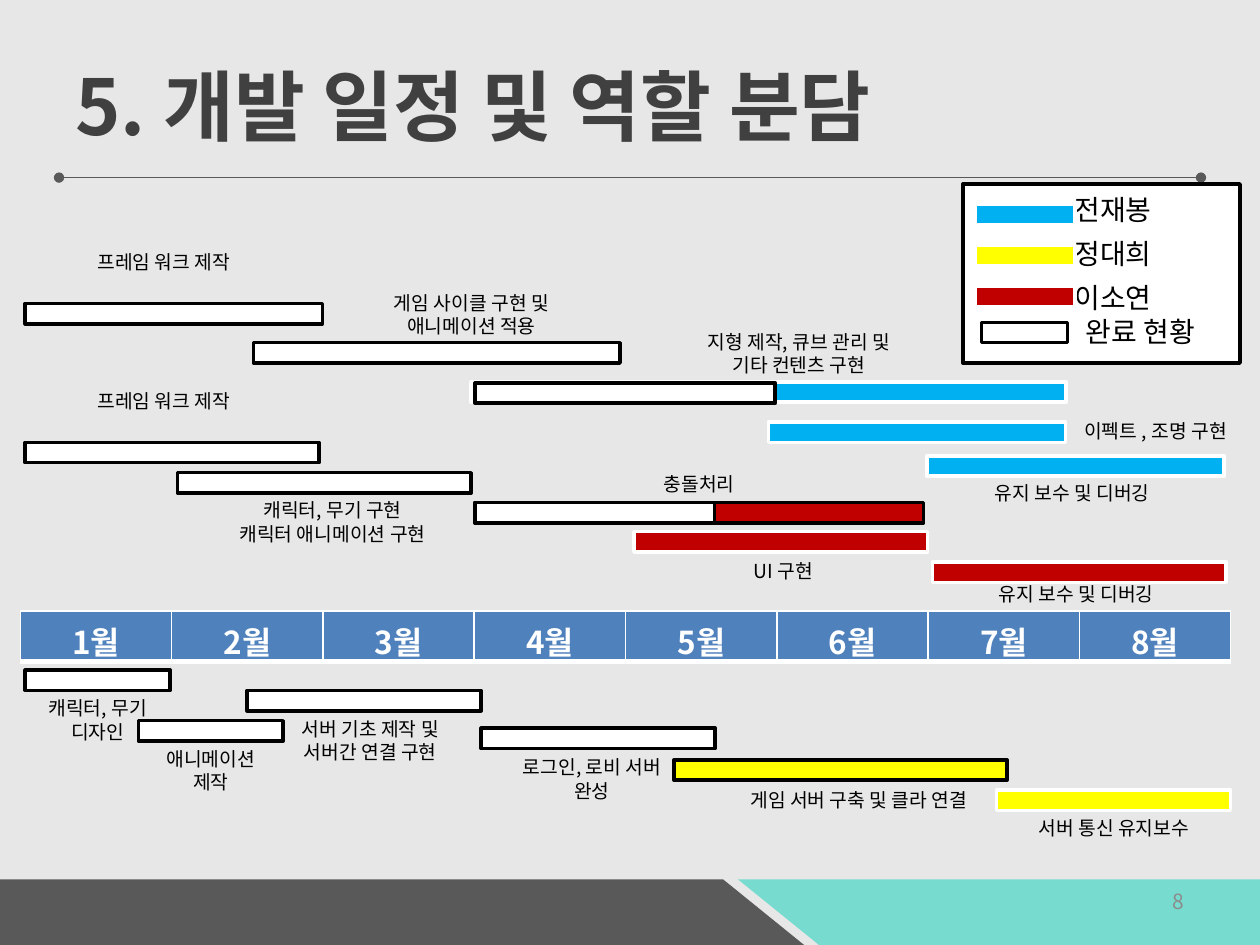
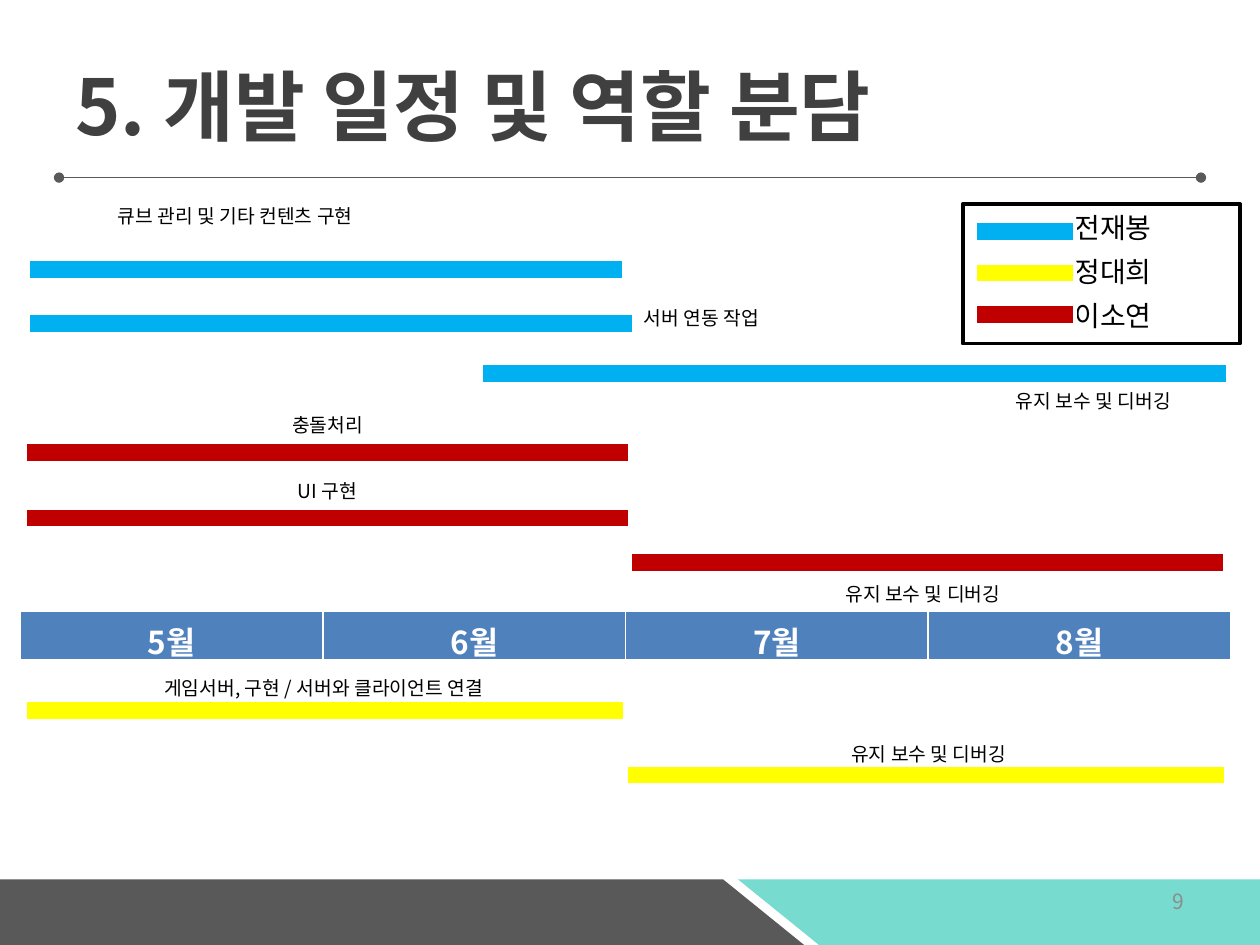
from dataclasses import dataclass

from lxml import etree
from pptx import Presentation
from pptx.dml.color import RGBColor
from pptx.enum import shapes, text
from pptx.oxml import ns
from pptx.util import Cm, Pt

FONT = "Noto Sans CJK KR"
BLACK = RGBColor(0x00, 0x00, 0x00)
WHITE = RGBColor(0xFF, 0xFF, 0xFF)
BLUE = RGBColor(0x00, 0xB0, 0xF0)
YELLOW = RGBColor(0xFF, 0xFF, 0x00)
RED = RGBColor(0xC0, 0x00, 0x00)
MONTH_BLUE = RGBColor(0x4F, 0x81, 0xBD)
TITLE_GREY = RGBColor(0x40, 0x40, 0x40)
DARK_GREY = RGBColor(0x59, 0x59, 0x59)
PAGE_GREY = RGBColor(0x8C, 0x8C, 0x8C)
VEIL_GREY = RGBColor(0xD9, 0xD9, 0xD9)
TEAL = RGBColor(0x77, 0xDB, 0xCF)

SLIDE_WIDTH, SLIDE_HEIGHT = 25.4, 19.05
BAND_TOP = 17.73
BAR_HEIGHT = 0.41
MEMBERS = {"전재봉": BLUE, "정대희": YELLOW, "이소연": RED}


@dataclass
class Bar:
    left: float
    top: float
    width: float
    fill: RGBColor = WHITE
    line: RGBColor = BLACK


@dataclass
class Label:
    left: float
    top: float
    text: str
    width: float = 5.59
    rows: int = 1


@dataclass
class Legend:
    top: float
    height: float
    names_top: float
    shows_done: bool = False


@dataclass
class Schedule:
    page: int
    months: range
    bars: list[Bar]
    labels: list[Label]
    legend: Legend
    veiled: bool = False


SCHEDULES = [
    Schedule(
        page=8,
        months=range(1, 9),
        veiled=True,
        legend=Legend(3.71, 3.61, 3.76, shows_done=True),
        bars=[
            Bar(0.51, 6.12, 5.99),
            Bar(5.11, 6.91, 7.39),
            Bar(9.5, 7.7, 11.99, BLUE, WHITE),
            Bar(9.58, 7.72, 6.05),
            Bar(15.49, 8.51, 5.99, BLUE, WHITE),
            Bar(18.69, 9.19, 5.99, BLUE, WHITE),
            Bar(0.51, 8.92, 5.92),
            Bar(3.58, 9.53, 5.92),
            Bar(9.58, 10.13, 9.04, RED),
            Bar(9.58, 10.13, 4.83),
            Bar(12.78, 10.72, 5.92, RED, WHITE),
            Bar(18.8, 11.33, 5.92, RED, WHITE),
            Bar(0.51, 13.51, 2.92),
            Bar(2.79, 14.53, 2.92),
            Bar(4.98, 13.92, 4.72),
            Bar(9.7, 14.68, 4.72),
            Bar(13.59, 15.32, 6.71, YELLOW),
            Bar(20.09, 15.93, 4.72, YELLOW, WHITE),
        ],
        labels=[
            Label(0.51, 4.93, "프레임 워크 제작"),
            Label(6.71, 5.74, "게임 사이클 구현 및\n애니메이션 적용", rows=2),
            Label(13.31, 6.53, "지형 제작, 큐브 관리 및\n기타 컨텐츠 구현", rows=2),
            Label(20.5, 8.33, "이펙트 , 조명 구현"),
            Label(18.82, 9.58, "유지 보수 및 디버깅"),
            Label(0.51, 7.72, "프레임 워크 제작"),
            Label(3.91, 9.93, "캐릭터, 무기 구현\n캐릭터 애니메이션 구현", rows=2),
            Label(9.7, 9.4, "충돌처리", 8.79),
            Label(13, 11.15, "UI 구현"),
            Label(18.9, 11.61, "유지 보수 및 디버깅"),
            Label(0.51, 13.92, "캐릭터, 무기 디자인", 2.92, 2),
            Label(2.79, 14.94, "애니메이션 제작", 2.92, 2),
            Label(5.51, 14.33, "서버 기초 제작 및\n서버간 연결 구현", 3.91, 2),
            Label(9.98, 15.11, "로그인, 로비 서버 완성", 3.91, 2),
            Label(14.43, 15.77, "게임 서버 구축 및 클라 연결", 5.77),
            Label(20.5, 16.33, "서버 통신 유지보수", 3.91),
        ],
    ),
    Schedule(
        page=9,
        months=range(5, 9),
        legend=Legend(4.11, 2.82, 4.11),
        bars=[
            Bar(0.58, 6.32, 12.19, BLUE, WHITE),
            Bar(0.58, 5.23, 11.99, BLUE, WHITE),
            Bar(9.7, 7.32, 15.06, BLUE, WHITE),
            Bar(0.51, 8.92, 12.19, RED, WHITE),
            Bar(0.51, 10.24, 12.19, RED, WHITE),
            Bar(12.7, 11.13, 11.99, RED, WHITE),
            Bar(0.51, 14.12, 12.09, YELLOW, WHITE),
            Bar(12.62, 15.42, 12.09, YELLOW, WHITE),
        ],
        labels=[
            Label(1.19, 3.99, "큐브 관리 및 기타 컨텐츠 구현", 7.11),
            Label(10.59, 6.05, "서버 연동 작업", 7.11),
            Label(19.25, 7.72, "유지 보수 및 디버깅"),
            Label(2.21, 8.2, "충돌처리", 8.79),
            Label(3.81, 9.53, "UI 구현"),
            Label(12.7, 11.61, "유지 보수 및 디버깅", 11.81),
            Label(1.47, 13.51, "게임서버, 구현 / 서버와 클라이언트 연결", 10.11),
            Label(15.93, 14.83, "유지 보수 및 디버깅"),
        ],
    ),
]


def write(frame, words: str, size: float, color: RGBColor = BLACK,
          align=text.PP_ALIGN.LEFT, bold: bool = False) -> None:
    frame.text = words
    for paragraph in frame.paragraphs:
        paragraph.alignment = align
        font = paragraph.font
        font.size, font.bold, font.name = Pt(size), bold, FONT
        font.color.rgb = color
        defaults = paragraph._p.pPr.find(ns.qn("a:defRPr"))
        etree.SubElement(defaults, ns.qn("a:ea"), typeface=FONT)


def add_words(slide, left: float, top: float, width: float, height: float,
              words: str, size: float, anchor=text.MSO_ANCHOR.TOP, **style) -> None:
    frame = slide.shapes.add_textbox(Cm(left), Cm(top), Cm(width), Cm(height)).text_frame
    frame.word_wrap = True
    frame.vertical_anchor = anchor
    write(frame, words, size, **style)


def add_box(slide, left: float, top: float, width: float, height: float,
            fill: RGBColor, line: RGBColor | None = None):
    box = slide.shapes.add_shape(shapes.MSO_SHAPE.RECTANGLE,
                                 Cm(left), Cm(top), Cm(width), Cm(height))
    box.shadow.inherit = False
    box.fill.solid()
    box.fill.fore_color.rgb = fill
    if line is None:
        box.line.fill.background()
    else:
        box.line.color.rgb = line
        box.line.width = Pt(2)
    return box


def add_bar(slide, bar: Bar) -> None:
    add_box(slide, bar.left, bar.top, bar.width, BAR_HEIGHT, bar.fill, bar.line)


def add_veil(slide) -> None:
    veil = add_box(slide, 0, 0, SLIDE_WIDTH, SLIDE_HEIGHT, VEIL_GREY)
    color = veil._element.spPr.find(".//" + ns.qn("a:srgbClr"))
    etree.SubElement(color, ns.qn("a:alpha"), val="61000")


def add_rule(slide) -> None:
    rule = slide.shapes.add_connector(shapes.MSO_CONNECTOR.STRAIGHT,
                                      Cm(1.19), Cm(3.58), Cm(24.21), Cm(3.58))
    rule.line.color.rgb = DARK_GREY
    rule.line.width = Pt(0.75)
    for end in ("headEnd", "tailEnd"):
        etree.SubElement(rule.line._get_or_add_ln(), ns.qn(f"a:{end}"), type="oval")
    etree.SubElement(rule._element.spPr, ns.qn("a:effectLst"))


def add_band(slide, corners: list[tuple[float, float]], fill: RGBColor) -> None:
    points = [(Cm(x), Cm(y)) for x, y in corners]
    builder = slide.shapes.build_freeform(*points[0])
    builder.add_line_segments(points[1:], close=True)
    band = builder.convert_to_shape()
    band.shadow.inherit = False
    band.fill.solid()
    band.fill.fore_color.rgb = fill
    band.line.fill.background()


def add_frame(slide, page: int) -> None:
    add_words(slide, 1.27, 0.53, 22.86, 3.18, "5. 개발 일정 및 역할 분담", 44,
              text.MSO_ANCHOR.MIDDLE, color=TITLE_GREY, bold=True)
    add_rule(slide)
    add_band(slide, [(0, BAND_TOP), (14.58, BAND_TOP),
                     (16.21, SLIDE_HEIGHT), (0, SLIDE_HEIGHT)], DARK_GREY)
    add_band(slide, [(14.88, BAND_TOP), (SLIDE_WIDTH, BAND_TOP),
                     (SLIDE_WIDTH, SLIDE_HEIGHT), (16.51, SLIDE_HEIGHT)], TEAL)
    add_words(slide, 18.21, 17.65, 5.92, 1.02, str(page), 12, text.MSO_ANCHOR.MIDDLE,
              color=PAGE_GREY, align=text.PP_ALIGN.RIGHT)


def add_border(cell, side: str, points: float) -> None:
    border = etree.SubElement(cell._tc.get_or_add_tcPr(), ns.qn(f"a:ln{side}"),
                              w=str(Pt(points)))
    fill = etree.SubElement(border, ns.qn("a:solidFill"))
    etree.SubElement(fill, ns.qn("a:srgbClr"), val=str(WHITE))


def add_months(slide, months: range) -> None:
    width = 24.4
    calendar = slide.shapes.add_table(1, len(months), Cm(0.41), Cm(12.32),
                                      Cm(width), Cm(1.02)).table
    for column, cell, month in zip(calendar.columns, calendar.rows[0].cells, months):
        column.width = Cm(width / len(months))
        for side, points in {"L": 1, "R": 1, "T": 1, "B": 3}.items():
            add_border(cell, side, points)
        cell.fill.solid()
        cell.fill.fore_color.rgb = MONTH_BLUE
        write(cell.text_frame, f"{month}월", 18, WHITE, text.PP_ALIGN.CENTER, bold=True)


def add_legend(slide, legend: Legend) -> None:
    add_box(slide, 19.41, legend.top, 5.59, legend.height, WHITE, BLACK)
    for row, (member, color) in enumerate(MEMBERS.items()):
        add_words(slide, 21.41, legend.names_top + 0.89 * row, 3.61, 0.94, member, 16)
        add_bar(slide, Bar(19.66, legend.names_top + 0.36 + 0.83 * row, 2.01, color, WHITE))
    if legend.shows_done:
        add_bar(slide, Bar(19.79, 6.5, 1.73))
        add_words(slide, 21.64, 6.22, 3.61, 0.94, "완료 현황", 16)


def add_schedule(deck, schedule: Schedule) -> None:
    slide = deck.slides.add_slide(deck.slide_layouts[6])
    if schedule.veiled:
        add_veil(slide)
    add_frame(slide, schedule.page)
    add_months(slide, schedule.months)
    for bar in schedule.bars:
        add_bar(slide, bar)
    for label in schedule.labels:
        add_words(slide, label.left, label.top, label.width, 0.28 + 0.46 * label.rows,
                  label.text, 11, align=text.PP_ALIGN.CENTER)
    add_legend(slide, schedule.legend)


def main() -> None:
    deck = Presentation()
    deck.slide_width, deck.slide_height = Cm(SLIDE_WIDTH), Cm(SLIDE_HEIGHT)
    for schedule in SCHEDULES:
        add_schedule(deck, schedule)
    deck.save("out.pptx")


if __name__ == "__main__":
    main()
